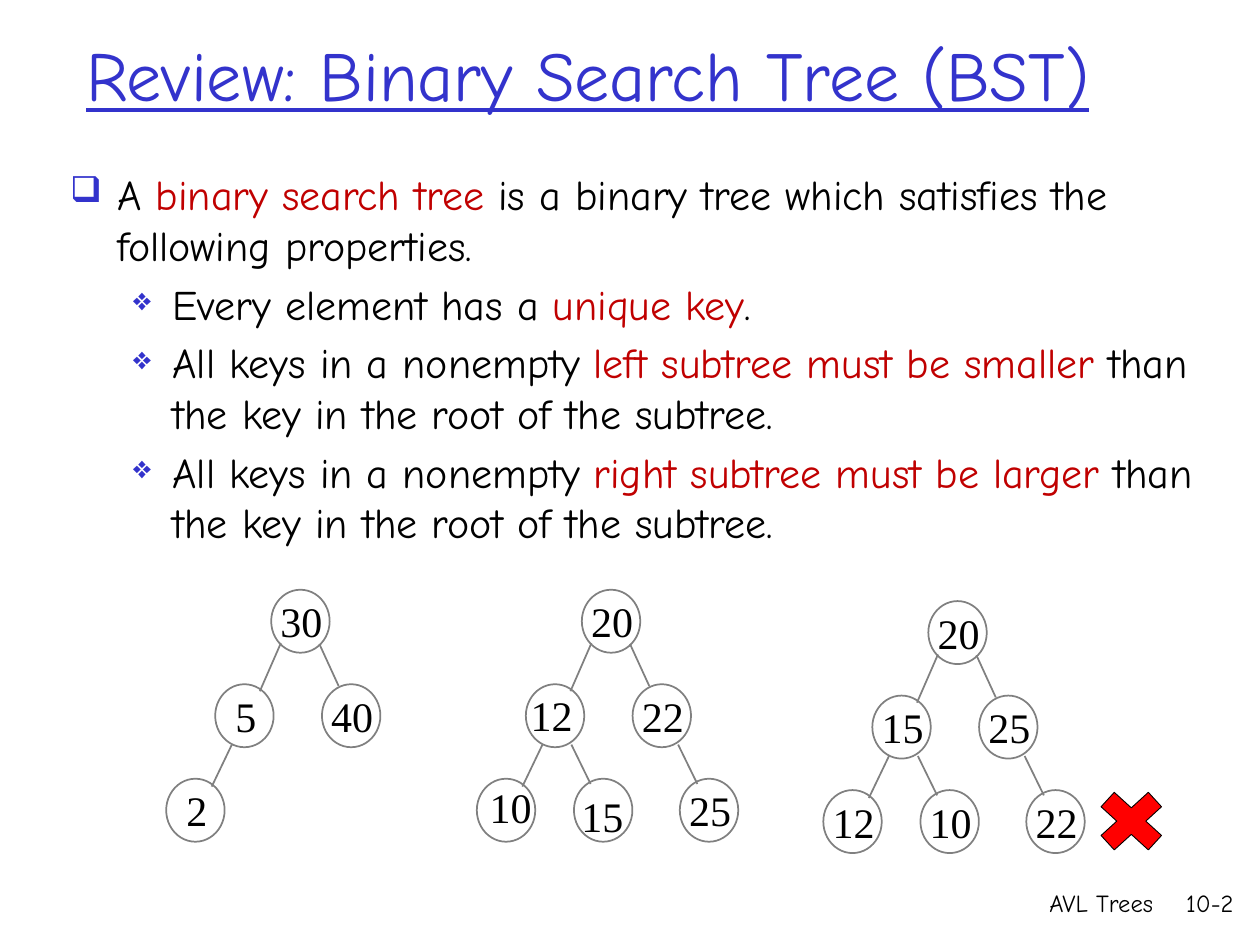
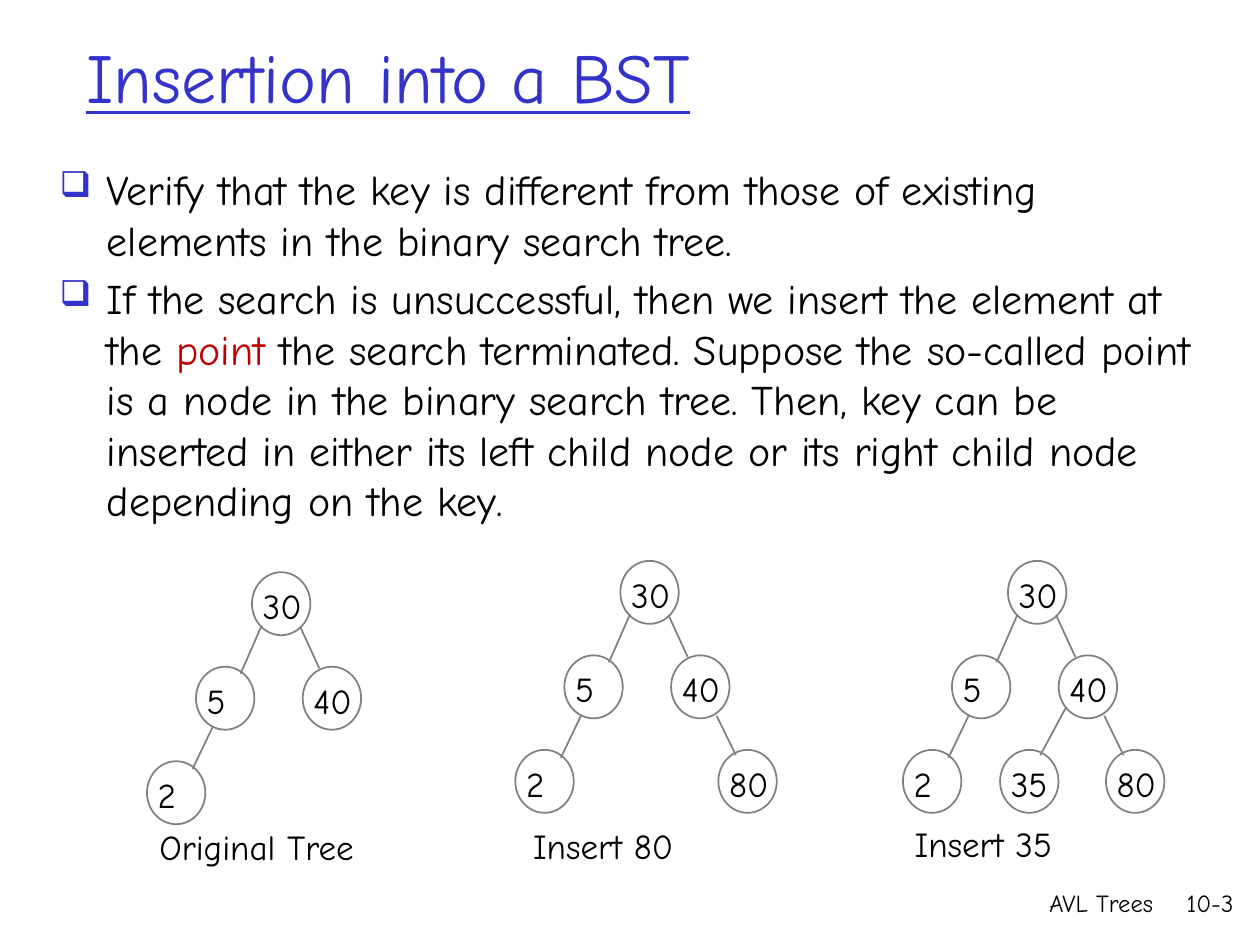
"""Build two slides about binary search trees and insertion into them."""
from dataclasses import dataclass

from lxml import etree
from pptx import Presentation
from pptx import util as u
from pptx.dml.color import RGBColor
from pptx.enum import shapes as kinds, text
from pptx.oxml.ns import qn


@dataclass(frozen=True)
class Theme:
    """Colours, fonts and type sizes that all slides share."""
    accent: str = "3333CC"
    highlight: str = "C00000"
    ink: str = "000000"
    outline: str = "808080"
    wrong: str = "FF0000"
    hand: str = "Comic Neue"
    serif: str = "Times New Roman"
    title_size: int = 40
    body_size: int = 24
    label_size: int = 20
    footer_size: int = 14


THEME = Theme()
NODE_WIDTH, NODE_HEIGHT = 33.4, 36
SLOTS = {
    "root": (60, 0), "left": (28, 54), "right": (89, 54),
    "left_left": (0, 108), "left_right": (55.5, 108),
    "right_left": (55.5, 108), "right_right": (116, 108),
}
EDGES = {
    "left": (65.5, 30.5, 53.5, 58), "right": (87.5, 31, 98.5, 55),
    "left_left": (37.5, 88.5, 26, 112.5), "left_right": (54, 88.5, 65, 111),
    "right_left": (93, 84, 78.5, 111), "right_right": (115, 88.5, 126, 111),
}
BULLETS = [
    {"character": "❑", "size": 85, "margin": 27, "hanging": 27},
    {"character": "❖", "size": 75, "margin": 58.5, "hanging": 22.5},
]


def points(*lengths):
    """Turn numbers into lengths in points."""
    return [u.Pt(length) for length in lengths]


def apply(target, values):
    """Set each attribute of the target from a dict."""
    for name, value in values.items():
        setattr(target, name, value)


def add_run(paragraph, words, size, font=THEME.hand, color=THEME.ink, **extra):
    """Add one formatted run to a paragraph."""
    run = paragraph.add_run()
    run.text = words
    apply(run.font, {"name": font, "size": u.Pt(size), **extra})
    run.font.color.rgb = RGBColor.from_string(color)


def add_text(shapes, box, words, size, font=THEME.hand, wrap=False, alignment=text.PP_ALIGN.LEFT):
    """Place a one-paragraph text box."""
    frame = shapes.add_textbox(*points(*box)).text_frame
    frame.word_wrap = wrap
    paragraph = frame.paragraphs[0]
    paragraph.alignment = alignment
    add_run(paragraph, words, size, font)


def add_title(slide, box, words):
    """Move and format the title placeholder."""
    title = slide.shapes.title
    apply(title, dict(zip(("left", "top", "width", "height"), points(*box))))
    apply(title.text_frame, {
        "vertical_anchor": text.MSO_ANCHOR.MIDDLE,
        "auto_size": text.MSO_AUTO_SIZE.NONE,
        "word_wrap": True,
    })
    paragraph = title.text_frame.paragraphs[0]
    paragraph.alignment = text.PP_ALIGN.LEFT
    add_run(paragraph, words, THEME.title_size, color=THEME.accent, underline=True)


def add_footer(slide, number):
    """Write the chapter name and the page number at the lower right."""
    for left, width, words in ((438, 228, "AVL Trees"), (654, 58, number)):
        add_text(slide.shapes, (left, 504, width, 36), words, THEME.footer_size,
                 wrap=True, alignment=text.PP_ALIGN.RIGHT)


def add_bullet(paragraph, level):
    """Give a paragraph the bullet and indents of its level."""
    bullet = BULLETS[level]
    paragraph.level = level
    paragraph.space_before = u.Pt(4.8)
    properties = paragraph._p.get_or_add_pPr()
    properties.set("marL", str(u.Pt(bullet["margin"])))
    properties.set("indent", str(-u.Pt(bullet["hanging"])))
    color = etree.SubElement(properties, qn("a:buClr"))
    etree.SubElement(color, qn("a:srgbClr"), val=THEME.accent)
    etree.SubElement(properties, qn("a:buSzPct"), val=str(bullet["size"] * 1000))
    etree.SubElement(properties, qn("a:buChar"), char=bullet["character"])


def add_body(slide, box, items):
    """Write bulleted items whose every second part is highlighted."""
    frame = slide.shapes.add_textbox(*points(*box)).text_frame
    frame.word_wrap = True
    for index, (level, *parts) in enumerate(items):
        paragraph = frame.add_paragraph() if index else frame.paragraphs[0]
        add_bullet(paragraph, level)
        for position, words in enumerate(parts):
            color = THEME.highlight if position % 2 else THEME.ink
            add_run(paragraph, words, THEME.body_size, color=color)


def set_line(line, color, width):
    """Colour a line and set its width."""
    line.color.rgb = RGBColor.from_string(color)
    line.width = u.Pt(width)


def add_node(shapes, left, top):
    """Draw the hollow circle of one node."""
    node = shapes.add_shape(kinds.MSO_SHAPE.OVAL, *points(left, top, NODE_WIDTH, NODE_HEIGHT))
    node.shadow.inherit = False
    node.fill.background()
    set_line(node.line, THEME.outline, 1)


def add_edge(shapes, left, top, ends):
    """Draw one branch, with its ends relative to the tree's corner."""
    x1, y1, x2, y2 = ends
    edge = shapes.add_connector(
        kinds.MSO_CONNECTOR.STRAIGHT, *points(left + x1, top + y1, left + x2, top + y2))
    set_line(edge.line, THEME.outline, 1)
    etree.SubElement(edge._element.spPr, qn("a:effectLst"))


def centred_label(shapes, left, top, key):
    """Write a serif key in the middle of its node."""
    width = 39 if len(key) == 2 else 26.5
    box = (left + (NODE_WIDTH - width) / 2 + 1, top, width, 36.5)
    add_text(shapes, box, key, THEME.body_size, THEME.serif)


def left_label(shapes, left, top, key):
    """Write a handwritten key from the left side of its node."""
    width = 39.5 if len(key) == 2 else 26.5
    add_text(shapes, (left - 1, top + 3.5, width, 31.5), key, THEME.label_size)


def add_tree(slide, corner, keys, add_label, nudges=None, caption=None):
    """Draw a grouped tree of keys by slot, relative to its corner."""
    left, top = corner
    shapes = slide.shapes.add_group_shape().shapes
    for slot, key in keys.items():
        x, y = SLOTS[slot]
        shift_x, shift_y = (nudges or {}).get(slot, (0, 0))
        add_node(shapes, left + x, top + y)
        add_label(shapes, left + x + shift_x, top + y + shift_y, key)
        if slot in EDGES:
            add_edge(shapes, left, top, EDGES[slot])
    if caption:
        words, x, y, width = caption
        add_text(shapes, (left + x, top + y, width, 31.5), words, THEME.label_size)


def add_cross(slide, box):
    """Mark a tree as wrong with a red cross."""
    cross = slide.shapes.add_shape(kinds.MSO_SHAPE.MATH_MULTIPLY, *points(*box))
    cross.shadow.inherit = False
    cross.fill.solid()
    cross.fill.fore_color.rgb = RGBColor.from_string(THEME.wrong)
    set_line(cross.line, THEME.ink, 0.5)


def start_slide(presentation, number, title_box, title):
    """Add a title-only slide with its title and footer."""
    slide = presentation.slides.add_slide(presentation.slide_layouts[5])
    add_title(slide, title_box, title)
    add_footer(slide, number)
    return slide


def build_review(presentation):
    """Build the slide that defines a binary search tree."""
    slide = start_slide(presentation, "10-2", (42, 18, 662, 48),
                        "Review: Binary Search Tree (BST)")
    ending = " than the key in the root of the subtree."
    add_body(slide, (33, 93, 664.5, 224.5), [
        (0, "A ", "binary search tree",
         " is a binary tree which satisfies the following properties."),
        (1, "Every element has a ", "unique key", "."),
        (1, "All keys in a nonempty ", "left subtree must be smaller", ending),
        (1, "All keys in a nonempty ", "right subtree must be larger", ending),
    ])
    add_tree(slide, (95, 337),
             {"root": "30", "left": "5", "right": "40", "left_left": "2"}, centred_label)
    add_tree(slide, (272.5, 337),
             {"root": "20", "left": "12", "right": "22",
              "left_left": "10", "left_right": "15", "right_right": "25"},
             centred_label,
             nudges={"left": (-2.5, -0.5), "left_left": (2, -2), "left_right": (-1, 3)})
    add_tree(slide, (470.5, 343.5),
             {"root": "20", "left": "15", "right": "25",
              "left_left": "12", "left_right": "10", "right_right": "22"}, centred_label)
    add_cross(slide, (620.5, 445.5, 52, 47.5))


def build_insertion(presentation):
    """Build the slide that shows two insertions."""
    slide = start_slide(presentation, "10-3", (42, 18, 612, 50.5), "Insertion into a BST")
    add_body(slide, (27, 90, 664.5, 234), [
        (0, "Verify that the key is different from those of existing elements "
            "in the binary search tree."),
        (0, "If the search is unsuccessful, then we insert the element at the ", "point",
         " the search terminated. Suppose the so-called point is a node in the binary "
         "search tree. Then, key can be inserted in either its left child node or its "
         "right child node depending on the key."),
    ])
    first = {"root": "30", "left": "5", "right": "40", "left_left": "2"}
    second = {**first, "right_right": "80"}
    third = {**second, "right_left": "35"}
    for corner, keys, caption in (
        ((84, 327), first, ("Original Tree", 0, 141, 141)),
        ((294.5, 320.5), second, ("Insert 80", 3, 147, 107)),
        ((516, 320.5), third, ("Insert 35", -0.5, 146, 107)),
    ):
        add_tree(slide, corner, keys, left_label, caption=caption)


def main():
    """Build and save the presentation."""
    presentation = Presentation()
    apply(presentation, {"slide_width": u.Pt(720), "slide_height": u.Pt(540)})
    build_review(presentation)
    build_insertion(presentation)
    presentation.save("out.pptx")


if __name__ == "__main__":
    main()
